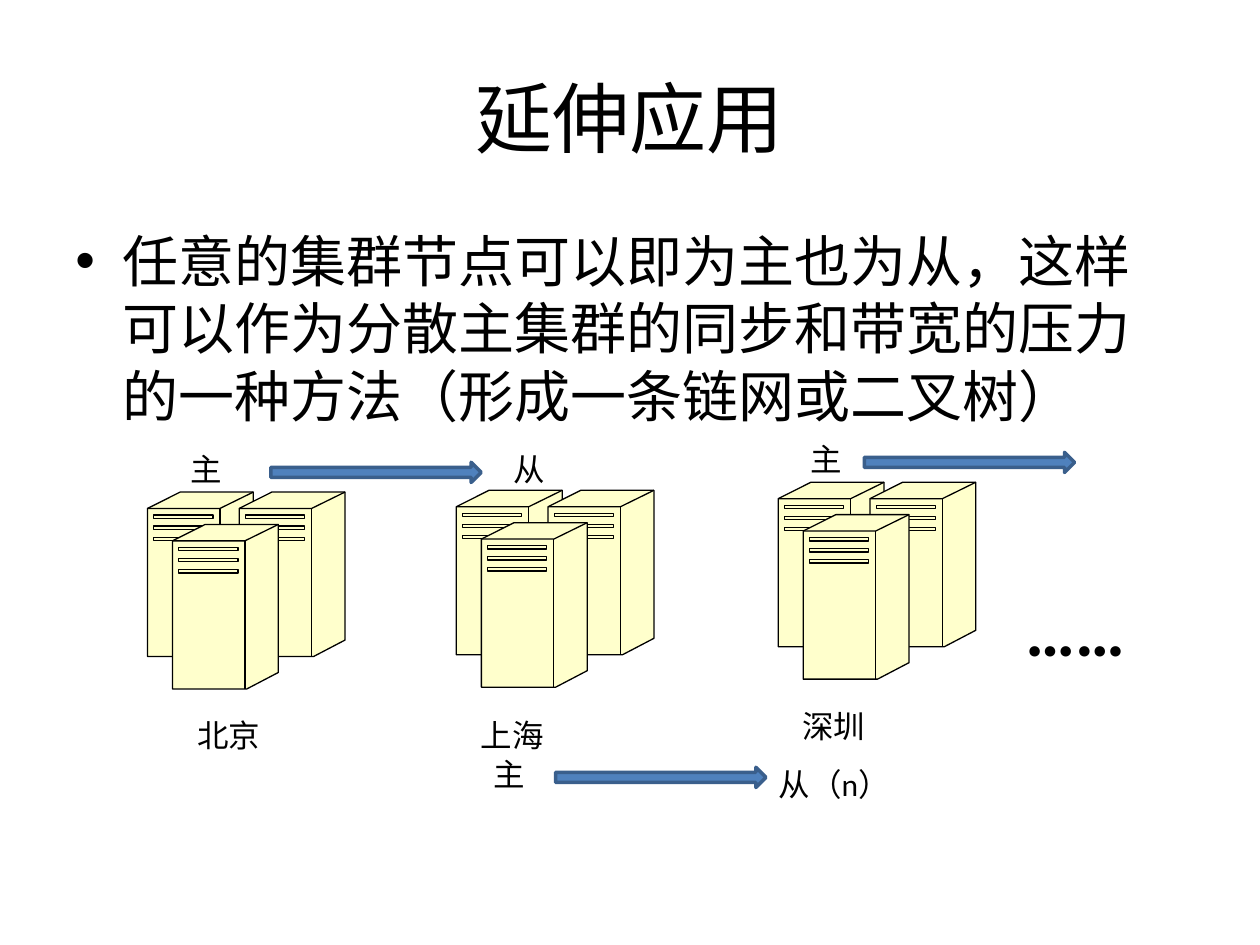
from lxml import etree
from pptx import Presentation
from pptx import util as u
from pptx.dml import color
from pptx.enum import shapes, text
from pptx.oxml import ns

BLACK = color.RGBColor(0x00, 0x00, 0x00)
CREAM = color.RGBColor(0xFF, 0xFF, 0xCC)
BLUE = color.RGBColor(0x4F, 0x81, 0xBD)
DARK_BLUE = color.RGBColor(0x3A, 0x5F, 0x8C)

LABEL_FRAME = {"word_wrap": False, "auto_size": text.MSO_AUTO_SIZE.SHAPE_TO_FIT_TEXT}
TITLE_FRAME = {"word_wrap": True, "vertical_anchor": text.MSO_ANCHOR.MIDDLE}
BODY_FRAME = {"word_wrap": True, "vertical_anchor": text.MSO_ANCHOR.TOP}

SERVER_WIDTH, SERVER_HEIGHT = 60.5, 94
FRONT_WIDTH, ROOF_HEIGHT = 41.4, 9.4
SLOT_LEFT, SLOT_RIGHT, SLOT_HEIGHT = 3.6, 37.4, 1.9
SLOT_TOP, SLOT_PITCH, SLOT_COUNT = 13.2, 6.3, 3
SERVER_OFFSETS = [(0, 0), (52.4, 0), (14.3, 18.5)]

CLUSTERS = [
    ("北京", (84.3, 281.2), (105.8, 405.4)),
    ("上海", (260.8, 280.2), (267.8, 405.4)),
    ("深圳", (444.7, 275.6), (451.4, 400.3)),
]
ROLES = [
    ("主", (101.5, 253.4, 32.4, 28.8)),
    ("从", (286.6, 253.4, 32.4, 28.8)),
    ("主", (455.8, 247.7, 32.4, 28.8)),
    ("主", (275, 427.7, 41, 28.8)),
    ("从（n）", (437.8, 433.4, 98.6, 28.8)),
]
ARROWS = [(154.8, 264.2), (317.5, 438.5), (493.9, 258.5)]
ARROW_SIZE = (120.2, 11.5)


def apply(target, values):
    for name, value in values.items():
        setattr(target, name, value)


def add_text(slide, box, content, frame_format, font_size, bold=False):
    shape = slide.shapes.add_textbox(*map(u.Pt, box))
    apply(shape.text_frame, frame_format)
    paragraph = shape.text_frame.paragraphs[0]
    run = paragraph.add_run()
    run.text = content
    apply(run.font, {"name": "Calibri", "size": u.Pt(font_size), "bold": bold})
    run.font.color.rgb = BLACK
    return paragraph


def style_shape(shape, fill, line, line_width):
    shape.shadow.inherit = False
    shape.fill.solid()
    shape.fill.fore_color.rgb = fill
    shape.line.color.rgb = line
    shape.line.width = u.Pt(line_width)


def add_title(slide, box):
    paragraph = add_text(slide, box, "延伸应用", TITLE_FRAME, 44)
    paragraph.alignment = text.PP_ALIGN.CENTER


def add_body(slide, box):
    content = "任意的集群节点可以即为主也为从，这样可以作为分散主集群的同步和带宽的压力的一种方法（形成一条链网或二叉树）"
    paragraph = add_text(slide, box, content, BODY_FRAME, 32)
    paragraph.space_before = u.Pt(6.4)
    properties = paragraph._p.get_or_add_pPr()
    properties.set("marL", str(u.Pt(27)))
    properties.set("indent", str(u.Pt(-27)))
    etree.SubElement(properties, ns.qn("a:buFont"), typeface="Arial")
    etree.SubElement(properties, ns.qn("a:buChar"), char="•")


def build_outline(slide, left, top, contours):
    builder = None
    for contour, closed in contours:
        points = [(u.Pt(left + x), u.Pt(top + y)) for x, y in contour]
        if builder is None:
            builder = slide.shapes.build_freeform(*points[0])
        else:
            builder.move_to(*points[0])
        builder.add_line_segments(points[1:], close=closed)
    return builder.convert_to_shape()


def add_server(slide, left, top):
    body = [
        (0, ROOF_HEIGHT), (18.7, 0), (SERVER_WIDTH, 0),
        (SERVER_WIDTH, SERVER_HEIGHT - ROOF_HEIGHT), (42.5, SERVER_HEIGHT), (0, SERVER_HEIGHT),
    ]
    edges = [
        ([(0, ROOF_HEIGHT), (FRONT_WIDTH, ROOF_HEIGHT), (SERVER_WIDTH, 0)], False),
        ([(FRONT_WIDTH, ROOF_HEIGHT), (FRONT_WIDTH, SERVER_HEIGHT)], False),
    ]
    for index in range(SLOT_COUNT):
        y = SLOT_TOP + index * SLOT_PITCH
        bottom = y + SLOT_HEIGHT
        slot = [(SLOT_LEFT, y), (SLOT_RIGHT, y), (SLOT_RIGHT, bottom), (SLOT_LEFT, bottom)]
        edges.append((slot, True))
    server = build_outline(slide, left, top, [(body, True)])
    details = build_outline(slide, left, top, edges)
    detail_path = details._element.find(".//" + ns.qn("a:path"))
    detail_path.set("fill", "none")
    server._element.find(".//" + ns.qn("a:pathLst")).append(detail_path)
    details._element.getparent().remove(details._element)
    style_shape(server, CREAM, BLACK, 0.75)


def add_cluster(slide, origin, city, label_origin):
    left, top = origin
    for dx, dy in SERVER_OFFSETS:
        add_server(slide, left + dx, top + dy)
    add_text(slide, (*label_origin, 64, 28.8), city, LABEL_FRAME, 18)


def add_arrow(slide, box):
    arrow = slide.shapes.add_shape(shapes.MSO_SHAPE.RIGHT_ARROW, *map(u.Pt, box))
    style_shape(arrow, BLUE, DARK_BLUE, 2)


def main():
    presentation = Presentation()
    presentation.slide_width, presentation.slide_height = u.Pt(720), u.Pt(540)
    slide = presentation.slides.add_slide(presentation.slide_layouts[6])
    add_title(slide, (36, 21.6, 648, 90))
    add_body(slide, (36, 126, 648, 356.4))
    for role, box in ROLES:
        add_text(slide, box, role, LABEL_FRAME, 18)
    add_text(slide, (578.9, 331.9, 90.7, 55.4), "……", LABEL_FRAME, 40, bold=True)
    for origin in ARROWS:
        add_arrow(slide, (*origin, *ARROW_SIZE))
    for city, origin, label_origin in CLUSTERS:
        add_cluster(slide, origin, city, label_origin)
    presentation.save("out.pptx")


if __name__ == "__main__":
    main()
